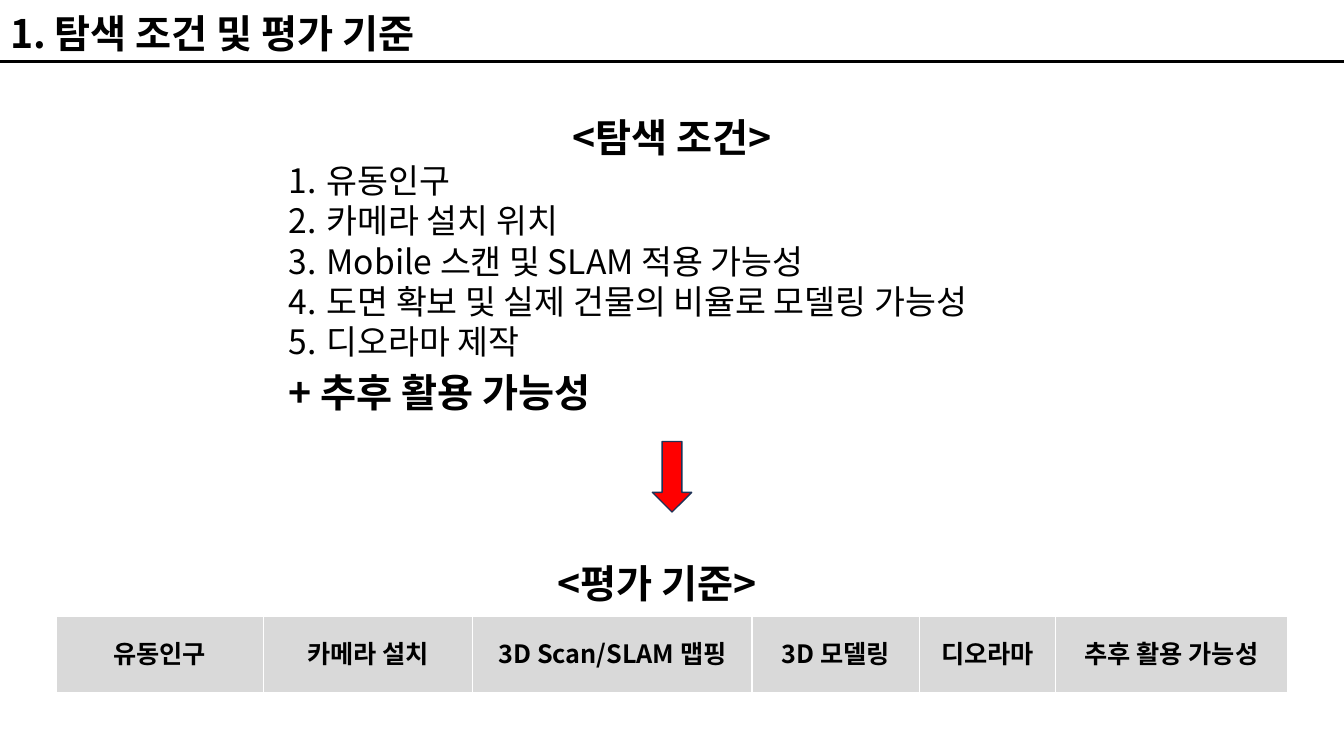
from dataclasses import dataclass

from lxml.etree import SubElement
from pptx import Presentation
from pptx.dml.color import RGBColor
from pptx.enum.shapes import MSO_CONNECTOR, MSO_SHAPE
from pptx.enum.text import MSO_ANCHOR, MSO_AUTO_SIZE, PP_ALIGN
from pptx.oxml import parse_xml
from pptx.oxml.ns import nsdecls, qn
from pptx.util import Inches, Pt


@dataclass(frozen=True)
class Theme:
    font: str = "Noto Sans CJK KR"
    ink: str = "000000"
    grey: str = "D9D9D9"
    white: str = "FFFFFF"
    red: str = "FF0000"
    navy: str = "1E3256"
    head: int = 28
    item: int = 24
    label: int = 18
    pitch: float = 1.2


def color(code):
    return RGBColor.from_string(code)


class Deck:
    def __init__(self, theme):
        self.theme = theme
        self.file = Presentation()
        self.file.slide_width = Inches(13.33)
        self.file.slide_height = Inches(7.5)
        self.slide = self.file.slides.add_slide(self.file.slide_layouts[1])
        self.shapes = self.slide.shapes

    def style(self, para, size, bold=True, align=PP_ALIGN.LEFT):
        para.alignment = align
        para.line_spacing = Pt(size * self.theme.pitch)
        para.space_before = para.space_after = Pt(0)
        for run in para.runs:
            font = run.font
            font.size, font.bold, font.name = Pt(size), bold, self.theme.font
            font.color.rgb = color(self.theme.ink)
            SubElement(font._element, qn("a:ea"), typeface=self.theme.font)

    def place(self, shape, left, top, width, height):
        shape.left, shape.top = Inches(left), Inches(top)
        shape.width, shape.height = Inches(width), Inches(height)
        frame = shape.text_frame
        frame.word_wrap = True
        frame.auto_size = MSO_AUTO_SIZE.NONE
        frame.vertical_anchor = MSO_ANCHOR.TOP
        frame.margin_left = frame.margin_right = Inches(0.1)
        frame.margin_top, frame.margin_bottom = Inches(0.08), Inches(0)
        return frame

    def title(self, text, *box):
        frame = self.place(self.shapes.title, *box)
        frame.text = text
        self.style(frame.paragraphs[0], self.theme.head)

    def text(self, text, *box):
        frame = self.place(self.shapes.add_textbox(0, 0, 0, 0), *box)
        frame.text = text
        self.style(frame.paragraphs[0], self.theme.head)

    def list(self, head, items, *box):
        frame = self.place(self.slide.placeholders[1], *box)
        frame.text = "\n".join([head, *items])
        first, *rest = frame.paragraphs
        self.mark(first, 0, "buNone")
        self.style(first, self.theme.head, align=PP_ALIGN.CENTER)
        for para in rest:
            self.mark(para, 0.38, "buAutoNum", type="arabicPeriod")
            self.style(para, self.theme.item, bold=False)

    def mark(self, para, indent, tag, **attrs):
        props = para._p.get_or_add_pPr()
        props.set("marL", str(Inches(indent)))
        props.set("indent", str(-Inches(indent)))
        SubElement(props, qn("a:" + tag), **attrs)

    def rule(self, left, right, top, weight):
        line = self.shapes.add_connector(
            MSO_CONNECTOR.STRAIGHT, Inches(left), Inches(top), Inches(right), Inches(top))
        line.line.color.rgb = color(self.theme.ink)
        line.line.width = Pt(weight)
        SubElement(line._element.spPr, qn("a:effectLst"))

    def arrow(self, *box):
        shape = self.shapes.add_shape(MSO_SHAPE.DOWN_ARROW, *map(Inches, box))
        shape.shadow.inherit = False
        shape.fill.solid()
        shape.fill.fore_color.rgb = color(self.theme.red)
        shape.line.color.rgb = color(self.theme.navy)
        shape.line.width = Pt(1)

    def table(self, labels, widths, left, top, height):
        frame = self.shapes.add_table(
            1, len(labels), Inches(left), Inches(top), Inches(sum(widths)), Inches(height))
        grid = frame.table
        grid.first_row = grid.horz_banding = False
        grid.rows[0].height = Inches(height)
        for col, (label, width) in enumerate(zip(labels, widths)):
            grid.columns[col].width = Inches(width)
            cell = grid.cell(0, col)
            cell.text = label
            cell.vertical_anchor = MSO_ANCHOR.MIDDLE
            cell.fill.solid()
            cell.fill.fore_color.rgb = color(self.theme.grey)
            self.style(cell.text_frame.paragraphs[0], self.theme.label, align=PP_ALIGN.CENTER)
            self.border(cell)

    def border(self, cell):
        props = cell._tc.get_or_add_tcPr()
        for spot, (side, weight) in enumerate(zip("LRTB", (1, 1, 1, 3))):
            props.insert(spot, parse_xml(
                f'<a:ln{side} {nsdecls("a")} w="{Pt(weight)}"><a:solidFill>'
                f'<a:srgbClr val="{self.theme.white}"/></a:solidFill></a:ln{side}>'))


def main():
    deck = Deck(Theme())

    # Header
    deck.rule(0, 13.33, 0.61, 2.25)
    deck.title("1. 탐색 조건 및 평가 기준", 0, 0.01, 4.76, 0.57)

    # Search conditions
    deck.list("<탐색 조건>", [
        "유동인구",
        "카메라 설치 위치",
        "Mobile 스캔 및 SLAM 적용 가능성",
        "도면 확보 및 실제 건물의 비율로 모델링 가능성",
        "디오라마 제작",
    ], 2.76, 1.04, 7.81, 2.59)
    deck.text("+ 추후 활용 가능성", 2.76, 3.57, 3.65, 0.57)

    # Conditions lead to criteria
    deck.arrow(6.47, 4.38, 0.39, 0.7)

    # Evaluation criteria
    deck.text("<평가 기준>", 5.43, 5.47, 2.48, 0.57)
    deck.table(
        ["유동인구", "카메라 설치", "3D Scan/SLAM 맵핑", "3D 모델링", "디오라마", "추후 활용 가능성"],
        [2.05, 2.08, 2.77, 1.66, 1.35, 2.3], 0.56, 6.12, 0.76)

    deck.file.save("out.pptx")


if __name__ == "__main__":
    main()
